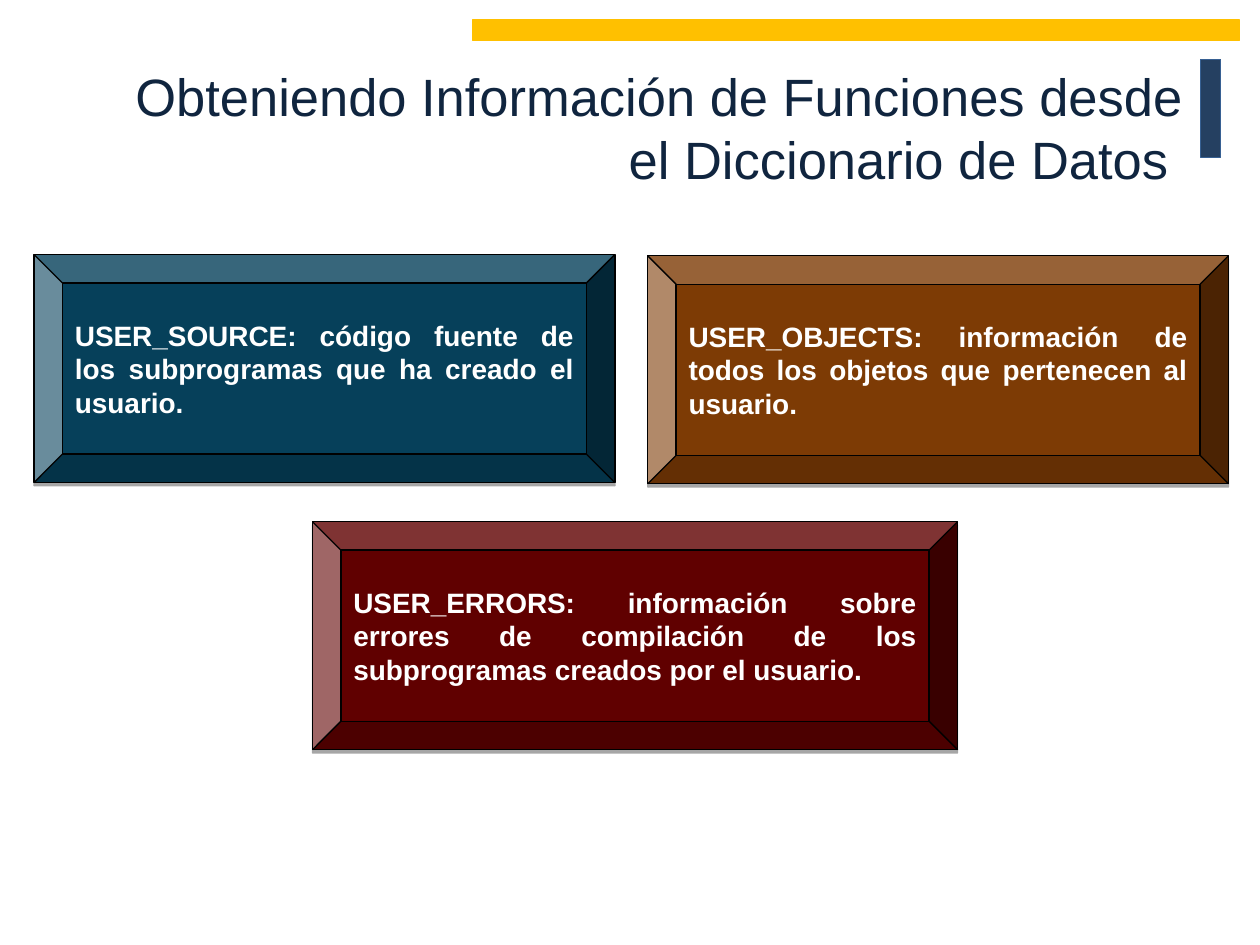
from dataclasses import dataclass

from lxml import etree
from pptx import Presentation
from pptx.dml.color import RGBColor
from pptx.enum.shapes import MSO_SHAPE
from pptx.enum.text import MSO_ANCHOR, PP_ALIGN
from pptx.oxml.ns import qn
from pptx.util import Inches, Pt

RECT, BEVEL = MSO_SHAPE.RECTANGLE, MSO_SHAPE.BEVEL
MIDDLE = MSO_ANCHOR.MIDDLE
RIGHT, JUSTIFY = PP_ALIGN.RIGHT, PP_ALIGN.JUSTIFY
WIDE, HIGH = 10, 7.5


@dataclass(frozen=True)
class Theme:
    font: str = "Arial"
    title_size: float = 30
    body_size: float = 16
    line_width: float = 0.75
    title: str = "10253F"
    body: str = "FFFFFF"
    edge: str = "000000"
    navy: str = "254061"
    blue: str = "376092"
    gold: str = "FFC000"
    teal: str = "06405A"
    brown: str = "7D3B05"
    wine: str = "600000"


@dataclass(frozen=True)
class Box:
    """A frame in shares of the slide's width and height."""
    left: float
    top: float
    width: float
    height: float

    def frame(self) -> tuple:
        return (Inches(self.left * WIDE), Inches(self.top * HIGH),
                Inches(self.width * WIDE), Inches(self.height * HIGH))


@dataclass(frozen=True)
class Card:
    box: Box
    fill: str
    text: str


THEME = Theme()
CARD_HIGH = 1.81 / HIGH
TITLE = "Obteniendo Información de Funciones desde el Diccionario de Datos "
BARS = [
    (Box(0.953, 0.47 / HIGH, 0.016, 0.78 / HIGH), THEME.navy, THEME.blue),
    (Box(0.375, 0.16 / HIGH, 0.609, 0.16 / HIGH), THEME.gold, THEME.gold),
]
CARDS = [
    Card(Box(0.027, 2.02 / HIGH, 0.461, CARD_HIGH), THEME.teal,
         "USER_SOURCE: código fuente de los subprogramas que ha creado el usuario."),
    Card(Box(0.514, 2.03 / HIGH, 0.461, CARD_HIGH), THEME.brown,
         "USER_OBJECTS: información de todos los objetos que pertenecen al usuario."),
    Card(Box(0.248, 4.14 / HIGH, 0.512, CARD_HIGH), THEME.wine,
         "USER_ERRORS: información sobre errores de compilación de los "
         "subprogramas creados por el usuario."),
]


def add_block(slide, kind, box: Box, fill: str, line: str):
    shape = slide.shapes.add_shape(kind, *box.frame())
    shape.shadow.inherit = False
    shape.fill.solid()
    shape.fill.fore_color.rgb = RGBColor.from_string(fill)
    shape.line.color.rgb = RGBColor.from_string(line)
    shape.line.width = Pt(THEME.line_width)
    return shape


def set_text(shape, text: str, align, size: float, color: str, bold: bool) -> None:
    frame = shape.text_frame
    frame.text = text
    frame.word_wrap = True
    frame.vertical_anchor = MIDDLE
    par = frame.paragraphs[0]
    par.alignment = align
    par.font.name = THEME.font
    par.font.size = Pt(size)
    par.font.bold = bold
    par.font.color.rgb = RGBColor.from_string(color)


def add_shadow(shape) -> None:
    """Cast a sharp shadow straight down."""
    effects = shape._element.spPr.find(qn("a:effectLst"))
    cast = etree.SubElement(effects, qn("a:outerShdw"), blurRad="0",
                            dist=str(Pt(1.8)), dir="5400000", rotWithShape="0")
    color = etree.SubElement(cast, qn("a:srgbClr"), val=THEME.edge)
    etree.SubElement(color, qn("a:alpha"), val="35000")


def add_card(slide, card: Card) -> None:
    shape = add_block(slide, BEVEL, card.box, card.fill, THEME.edge)
    shape.adjustments[0] = 0.125
    add_shadow(shape)
    set_text(shape, card.text, JUSTIFY, THEME.body_size, THEME.body, True)


def main() -> None:
    deck = Presentation()
    deck.slide_width, deck.slide_height = Inches(WIDE), Inches(HIGH)
    slide = deck.slides.add_slide(deck.slide_layouts[5])

    # Title
    title = slide.shapes.title
    title.left, title.top, title.width, title.height = Box(
        0.097, 0.21 / HIGH, 0.852, 1.6 / HIGH).frame()
    set_text(title, TITLE, RIGHT, THEME.title_size, THEME.title, False)

    # Accent bars
    for box, fill, line in BARS:
        add_block(slide, RECT, box, fill, line)

    # Dictionary views
    for card in CARDS:
        add_card(slide, card)

    deck.save("out.pptx")


if __name__ == "__main__":
    main()
